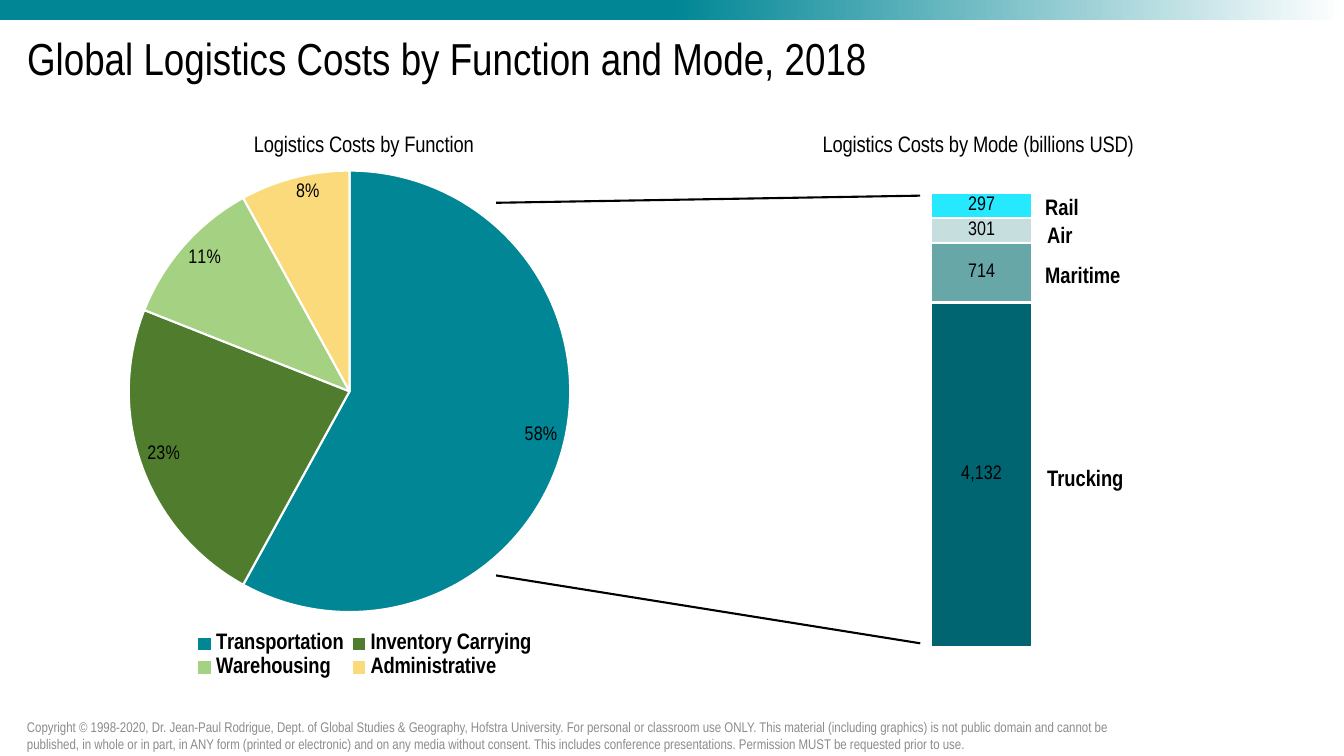
import dataclasses
import typing

import lxml.etree
import pptx
import pptx.chart.data
import pptx.dml.color
import pptx.enum.chart
import pptx.enum.shapes
import pptx.enum.text
import pptx.oxml.ns
import pptx.util

Cm = pptx.util.Cm
Pt = pptx.util.Pt
Any = typing.Any
Kind = pptx.enum.chart.XL_CHART_TYPE
Spot = pptx.enum.chart.XL_LABEL_POSITION
Fit = pptx.enum.text.MSO_AUTO_SIZE
MIDDLE = pptx.enum.text.MSO_ANCHOR.MIDDLE

FACE = "Arial Narrow"
HUES = {
    "black": "000000", "white": "FFFFFF", "gray": "8C8C8C",
    "teal": "008695", "green": "507D2D", "lime": "A5D282", "gold": "FADA7A",
    "deep": "006570", "sea": "67A7A7", "mist": "C6DEDE", "cyan": "26E9FF",
}


@dataclasses.dataclass
class Part:
    name: str
    value: int
    hue: str


@dataclasses.dataclass
class Label:
    text: str
    left: float
    top: float
    width: float
    high: float = 0.94


@dataclasses.dataclass
class Link:
    start: tuple
    end: tuple


COSTS = [
    Part("Transportation", 58, "teal"),
    Part("Inventory Carrying", 23, "green"),
    Part("Warehousing", 11, "lime"),
    Part("Administrative", 8, "gold"),
]
MODES = [
    Part("Trucking", 4132, "deep"),
    Part("Maritime", 714, "sea"),
    Part("Air", 301, "mist"),
    Part("Rail", 297, "cyan"),
]
LABELS = [
    Label("Trucking", 26.14, 11.58, 2.46),
    Label("Maritime", 26.09, 6.45, 2.44),
    Label("Rail", 26.09, 4.75, 1.37),
    Label("Air", 26.14, 5.46, 1.17),
]
LINKS = [Link((12.5, 5.11), (23.19, 4.93)), Link((12.5, 14.5), (23.19, 16.21))]
NOTE = (
    "Copyright © 1998-2020, Dr. Jean-Paul Rodrigue, Dept. of Global Studies & Geography, "
    "Hofstra University. For personal or classroom use ONLY. This material (including graphics) "
    "is not public domain and cannot be published, in whole or in part, in ANY form (printed or "
    "electronic) and on any media without consent. This includes conference presentations. "
    "Permission MUST be requested prior to use."
)


def rgb(hue: str) -> pptx.dml.color.RGBColor:
    return pptx.dml.color.RGBColor.from_string(HUES[hue])


def apply(item: Any, values: dict) -> None:
    for key, value in values.items():
        setattr(item, key, value)


def style(font: Any, size: float, bold: bool = False, hue: str = "black") -> None:
    apply(font, {"name": FACE, "size": Pt(size), "bold": bold})
    font.color.rgb = rgb(hue)


def paint(mark: Any, hue: str) -> None:
    mark.format.fill.solid()
    mark.format.fill.fore_color.rgb = rgb(hue)
    mark.format.line.color.rgb = rgb("white")
    mark.format.line.width = Pt(1.5)


def add(node: Any, name: str) -> Any:
    return lxml.etree.SubElement(node, pptx.oxml.ns.qn(name))


def place(node: Any, index: int, frame: tuple, inner: bool = False) -> None:
    for old in node.findall(pptx.oxml.ns.qn("c:layout")):
        node.remove(old)
    layout = add(node, "c:layout")
    manual = add(layout, "c:manualLayout")
    pairs = [("layoutTarget", "inner")] if inner else []
    for key, value in [*pairs, ("xMode", "edge"), ("yMode", "edge"), *zip("xywh", frame)]:
        add(manual, "c:" + key).set("val", str(value))
    node.insert(index, layout)


def draw(slide: Any, kind: Any, left: float, title: str, start: tuple,
         plot: tuple, names: list, rows: list) -> Any:
    data = pptx.chart.data.CategoryChartData()
    data.categories = names
    for index, row in enumerate(rows, 1):
        data.add_series(f"Series {index}", row)
    chart = slide.shapes.add_chart(
        kind, Cm(left), Cm(2.84), Cm(15.24), Cm(14.48), data).chart
    style(chart.font, 14)
    apply(chart, {"has_legend": False, "has_title": True})
    frame = chart.chart_title.text_frame
    frame.text = title
    style(frame.paragraphs[0].runs[0].font, 16)
    place(chart.chart_title._element, 1, start)
    place(chart.plots[0]._element.getparent(), 0, plot, True)
    return chart


def mark(series: Any, values: dict) -> None:
    apply(series.data_labels, {"number_format_is_linked": False, **values})
    style(series.data_labels.font, 14)


def pie(slide: Any) -> None:
    chart = draw(slide, Kind.PIE, 1.57, "Logistics Costs by Function", (0.31, 0.03),
                 (0.11, 0.1, 0.73, 0.77), [part.name for part in COSTS],
                 [[part.value for part in COSTS]])
    series = chart.plots[0].series[0]
    for index, part in enumerate(COSTS):
        paint(series.points[index], part.hue)
    mark(series, {"show_percentage": True, "show_value": False,
                  "number_format": "0%", "position": Spot.INSIDE_END})
    chart.has_legend = True
    apply(chart.legend, {"position": pptx.enum.chart.XL_LEGEND_POSITION.BOTTOM,
                         "include_in_layout": False})
    style(chart.legend.font, 16, True)
    place(chart.legend._element, 1, (0.21, 0.9, 0.58, 0.09))


def stack(slide: Any) -> None:
    chart = draw(slide, Kind.COLUMN_STACKED_100, 17.12, "Logistics Costs by Mode (billions USD)",
                 (0.23, 0.03), (0.29, 0.14, 0.42, 0.79), ["1"], [[part.value] for part in MODES])
    apply(chart.plots[0], {"gap_width": 150, "overlap": 100, "vary_by_categories": False})
    for axis in (chart.category_axis, chart.value_axis):
        apply(axis, {"visible": False, "has_major_gridlines": False})
    for series, part in zip(chart.plots[0].series, MODES):
        paint(series, part.hue)
        mark(series, {"show_value": True, "number_format": "#,##0", "position": Spot.CENTER})


def write(slide: Any, label: Label, size: float, bold: bool, hue: str, values: dict) -> None:
    sides = [Cm(side) for side in (label.left, label.top, label.width, label.high)]
    frame = slide.shapes.add_textbox(*sides).text_frame
    frame.text = label.text
    apply(frame, values)
    style(frame.paragraphs[0].runs[0].font, size, bold, hue)


def join(slide: Any, link: Link) -> None:
    ends = [Cm(value) for value in link.start + link.end]
    line = slide.shapes.add_connector(pptx.enum.shapes.MSO_CONNECTOR.STRAIGHT, *ends)
    line.line.color.rgb = rgb("black")
    line.line.width = Pt(1.5)
    add(line._element.spPr, "a:effectLst")


def band(slide: Any) -> None:
    bar = slide.shapes.add_shape(
        pptx.enum.shapes.MSO_SHAPE.RECTANGLE, 0, 0, Cm(33.87), Cm(0.51))
    bar.shadow.inherit = False
    bar.line.fill.background()
    bar.fill.gradient()
    bar.fill.gradient_angle = 0
    for stop, spot, hue in zip(bar.fill.gradient_stops, (0.5, 1), ("teal", "white")):
        stop.position = spot
        stop.color.rgb = rgb(hue)


def head(slide: Any) -> None:
    title = slide.shapes.title
    apply(title, {"left": Cm(0.43), "top": Cm(0.51), "width": Cm(33.02), "height": Cm(2.03)})
    title.text_frame.text = "Global Logistics Costs by Function and Mode, 2018"
    apply(title.text_frame, {"auto_size": Fit.NONE, "vertical_anchor": MIDDLE})
    line = title.text_frame.paragraphs[0]
    apply(line, {"alignment": pptx.enum.text.PP_ALIGN.LEFT, "line_spacing": 0.9})
    style(line.runs[0].font, 32)


deck = pptx.Presentation()
apply(deck, {"slide_width": Cm(33.87), "slide_height": Cm(19.05)})
page = deck.slides.add_slide(deck.slide_layouts[5])
for step in (band, head, pie, stack):
    step(page)
write(page, Label(NOTE, 0.43, 18.03, 27.81, 1.02), 10, False, "gray",
      {"word_wrap": True, "vertical_anchor": MIDDLE})
for link in LINKS:
    join(page, link)
for label in LABELS:
    write(page, label, 16, True, "black", {"word_wrap": False, "auto_size": Fit.SHAPE_TO_FIT_TEXT})
deck.save("out.pptx")
